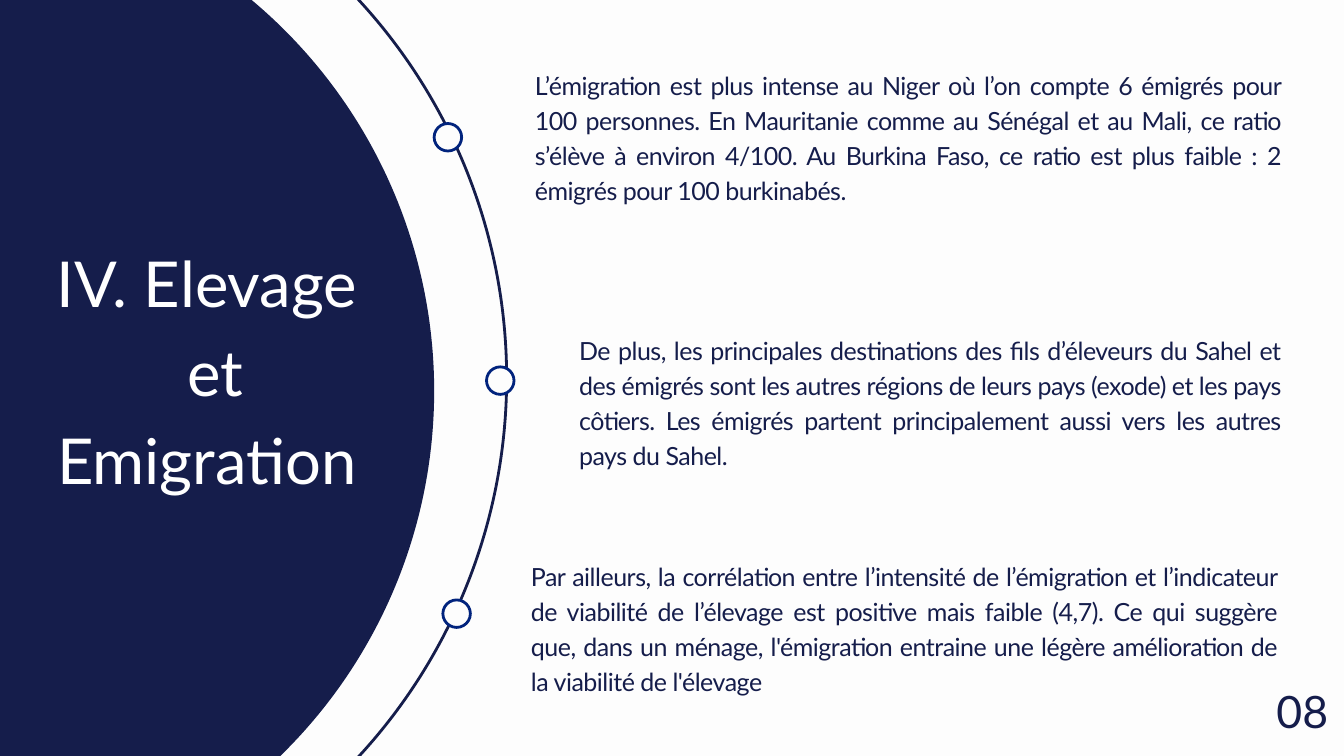
from dataclasses import dataclass

from pptx import Presentation
from pptx.dml.color import RGBColor
from pptx.enum.shapes import MSO_SHAPE
from pptx.enum.text import PP_ALIGN
from pptx.slide import Slide
from pptx.util import Cm, Pt

NAVY, BLUE, WHITE, PAPER = "151D4B", "01237D", "FFFFFF", "FDFDFD"


@dataclass(frozen=True)
class Circle:
    left: float
    top: float
    diameter: float
    fill: str | None = None
    outline: str | None = None


@dataclass(frozen=True)
class TextStyle:
    size: float
    leading: float
    color: str = NAVY
    align: PP_ALIGN = PP_ALIGN.CENTER
    tracking: float = 0


@dataclass(frozen=True)
class TextBlock:
    left: float
    top: float
    width: float
    height: float
    style: TextStyle
    paragraphs: tuple[str, ...]


TITLE = TextStyle(67.8, 94.9, WHITE)
BODY = TextStyle(26.8, 37.5, align=PP_ALIGN.JUSTIFY, tracking=-0.5)
PAGE_NUMBER = TextStyle(47.8, 67)

ARC = Circle(-23.01, -6.78, 42.16, outline=NAVY)
DISC = Circle(-22.15, -4.5, 38.56, fill=NAVY)
MARKERS = [
    Circle(left, top, 1.04, PAPER, BLUE)
    for left, top in ((16.41, 4.67), (18.39, 13.87), (16.74, 22.68))
]

TEXT_BLOCKS = [
    TextBlock(0.71, 8.76, 14.22, 9.86, TITLE, ("IV. Elevage", " et Emigration")),
    TextBlock(20.22, 2.49, 28.22, 6.58, BODY, (
        "L’émigration est plus intense au Niger où l’on compte 6 émigrés pour "
        "100 personnes. En Mauritanie comme au Sénégal et au Mali, ce ratio "
        "s’élève à environ 4/100. Au Burkina Faso, ce ratio est plus faible : 2 "
        "émigrés pour 100 burkinabés.",
    )),
    TextBlock(21.89, 12.5, 26.54, 5.41, BODY, (
        "De plus, les principales destinations des fils d’éleveurs du Sahel et "
        "des émigrés sont les autres régions de leurs pays (exode) et les pays "
        "côtiers. Les émigrés partent principalement aussi vers les autres "
        "pays du Sahel.",
    )),
    TextBlock(20.07, 21.03, 28.22, 6.76, BODY, (
        "Par ailleurs, la corrélation entre l’intensité de l’émigration et l’indicateur "
        "de viabilité de l’élevage est positive mais faible (4,7). Ce qui suggère "
        "que, dans un ménage, l'émigration entraine une légère amélioration de "
        "la viabilité de l'élevage",
    )),
    TextBlock(47.65, 25.5, 3.15, 2.24, PAGE_NUMBER, ("08",)),
]


def rgb(color: str) -> RGBColor:
    return RGBColor.from_string(color)


def draw_circle(slide: Slide, circle: Circle) -> None:
    oval = slide.shapes.add_shape(
        MSO_SHAPE.OVAL, Cm(circle.left), Cm(circle.top),
        Cm(circle.diameter), Cm(circle.diameter),
    )
    oval.shadow.inherit = False
    if circle.fill:
        oval.fill.solid()
        oval.fill.fore_color.rgb = rgb(circle.fill)
    else:
        oval.fill.background()
    if circle.outline:
        oval.line.color.rgb = rgb(circle.outline)
        oval.line.width = Pt(3)
    else:
        oval.line.fill.background()


def draw_text(slide: Slide, block: TextBlock) -> None:
    frame = slide.shapes.add_textbox(
        Cm(block.left), Cm(block.top), Cm(block.width), Cm(block.height)
    ).text_frame
    frame.word_wrap = True
    frame.margin_left = frame.margin_top = frame.margin_right = frame.margin_bottom = 0
    frame.text = "\n".join(block.paragraphs)
    style = block.style
    for paragraph in frame.paragraphs:
        paragraph.alignment = style.align
        paragraph.line_spacing = Pt(style.leading)
        paragraph.font.name = "Lato"
        paragraph.font.size = Pt(style.size)
        paragraph.font.color.rgb = rgb(style.color)
        if style.tracking:
            for run in paragraph.runs:
                run._r.get_or_add_rPr().set("spc", str(round(style.tracking * 100)))


def main() -> None:
    presentation = Presentation()
    presentation.slide_width, presentation.slide_height = Cm(50.8), Cm(28.58)
    slide = presentation.slides.add_slide(presentation.slide_layouts[6])
    slide.background.fill.solid()
    slide.background.fill.fore_color.rgb = rgb(PAPER)

    for circle in (ARC, DISC, *MARKERS):
        draw_circle(slide, circle)
    for block in TEXT_BLOCKS:
        draw_text(slide, block)

    presentation.save("out.pptx")


if __name__ == "__main__":
    main()
